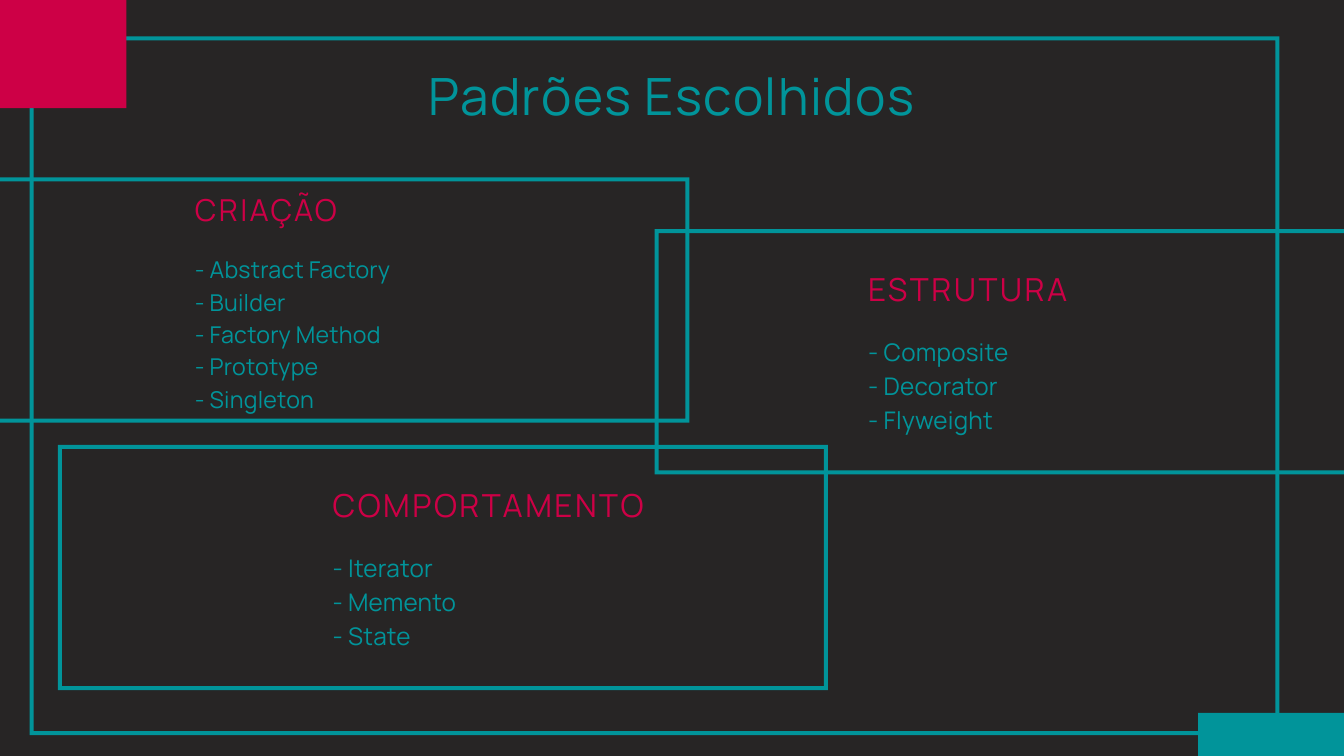
from dataclasses import dataclass

from pptx import Presentation
from pptx.dml.color import RGBColor
from pptx.enum import shapes, text
from pptx.util import Inches, Pt

# Grid: 20 columns by 11.25 rows
COLS, ROWS = 20, 11.25
WIDTH, HEIGHT = Inches(20), Inches(11.25)
FONT, DARK, TEAL, CRIMSON = "Manrope", "272525", "01949A", "CD0046"
BORDER = 0.06
PANEL_W, PANEL_H = 11.46, 3.65


@dataclass
class Box:
    col: float
    row: float
    cols: float
    rows: float

    def place(self) -> tuple[int, int, int, int]:
        return (round(self.col * WIDTH / COLS), round(self.row * HEIGHT / ROWS),
                round(self.cols * WIDTH / COLS), round(self.rows * HEIGHT / ROWS))


@dataclass
class Style:
    size: float
    color: str
    leading: float  # line height as a share of the size
    tracking: float  # letter spacing as a share of the size
    align: text.PP_ALIGN = text.PP_ALIGN.LEFT


@dataclass
class Category:
    heading: str
    patterns: list[str]
    panel: tuple[float, float]
    label: tuple[float, float]
    size: float = 34


def rgb(value: str) -> RGBColor:
    return RGBColor.from_string(value)


def set_all(target, values: dict) -> None:
    for name, value in values.items():
        setattr(target, name, value)


def add_solid(slide, kind, box: Box, color: str):
    sp = slide.shapes.add_shape(kind, *box.place())
    sp.shadow.inherit = False
    sp.fill.solid()
    sp.fill.fore_color.rgb = rgb(color)
    sp.line.fill.background()
    return sp


def add_frame(slide, box: Box) -> None:
    sp = add_solid(slide, shapes.MSO_SHAPE.FRAME, box, TEAL)
    sp.adjustments[0] = BORDER / min(box.cols, box.rows)


def write(sp, lines: list[str], style: Style) -> None:
    tf = sp.text_frame
    set_all(tf, dict(word_wrap=True, auto_size=text.MSO_AUTO_SIZE.NONE,
                     vertical_anchor=text.MSO_ANCHOR.TOP, margin_left=0,
                     margin_top=0, margin_right=0, margin_bottom=0))
    for i, line in enumerate(lines):
        p = tf.add_paragraph() if i else tf.paragraphs[0]
        set_all(p, dict(alignment=style.align, space_before=Pt(0),
                        line_spacing=Pt(round(style.size * style.leading, 1))))
        r = p.add_run()
        r.text = line
        set_all(r.font, dict(name=FONT, size=Pt(style.size), bold=False))
        r.font.color.rgb = rgb(style.color)
        r._r.get_or_add_rPr().set("spc", str(round(style.size * style.tracking * 100)))


def add_text(slide, box: Box, lines: list[str], style: Style) -> None:
    write(slide.shapes.add_textbox(*box.place()), lines, style)


def add_category(slide, item: Category) -> None:
    add_frame(slide, Box(*item.panel, PANEL_W, PANEL_H))
    scale = item.size / 34
    col, row = item.label
    width = 6.12 * scale
    heading = Style(item.size, CRIMSON, 1.2, 0.08)
    body = Style(round(26 * scale, 1), TEAL, 1.4, 0.01)
    add_text(slide, Box(col, row, width, 0.58 * scale), [item.heading], heading)
    add_text(slide, Box(col, row + 0.93 * scale, width, 0.49 * scale * len(item.patterns)),
             [f"- {name}" for name in item.patterns], body)


CATEGORIES = [
    Category("ESTRUTURA", ["Composite", "Decorator", "Flyweight"],
             (9.74, 3.41), (12.92, 4.02)),
    Category("CRIAÇÃO", ["Abstract Factory", "Builder", "Factory Method",
                         "Prototype", "Singleton"],
             (-1.2, 2.64), (2.9, 2.85), 32.4),
    Category("COMPORTAMENTO", ["Iterator", "Memento", "State"],
             (0.86, 6.62), (4.95, 7.23)),
]


def main() -> None:
    prs = Presentation()
    set_all(prs, dict(slide_width=WIDTH, slide_height=HEIGHT))
    s = prs.slides.add_slide(prs.slide_layouts[5])
    s.background.fill.solid()
    s.background.fill.fore_color.rgb = rgb(DARK)

    # Outer frame and corner blocks
    add_frame(s, Box(0.44, 0.54, 18.6, 10.4))
    add_solid(s, shapes.MSO_SHAPE.RECTANGLE, Box(17.83, 10.61, 2.99, 0.67), TEAL)
    add_solid(s, shapes.MSO_SHAPE.RECTANGLE, Box(-1.49, -0.54, 3.37, 2.15), CRIMSON)

    # Title
    title = s.shapes.title
    set_all(title, dict(zip(("left", "top", "width", "height"),
                            Box(2.78, 0.89, 14.44, 0.97).place())))
    write(title, ["Padrões Escolhidos"],
          Style(55, TEAL, 1.28, 0.03, text.PP_ALIGN.CENTER))

    # Pattern categories
    for item in CATEGORIES:
        add_category(s, item)

    prs.save("out.pptx")


if __name__ == "__main__":
    main()
